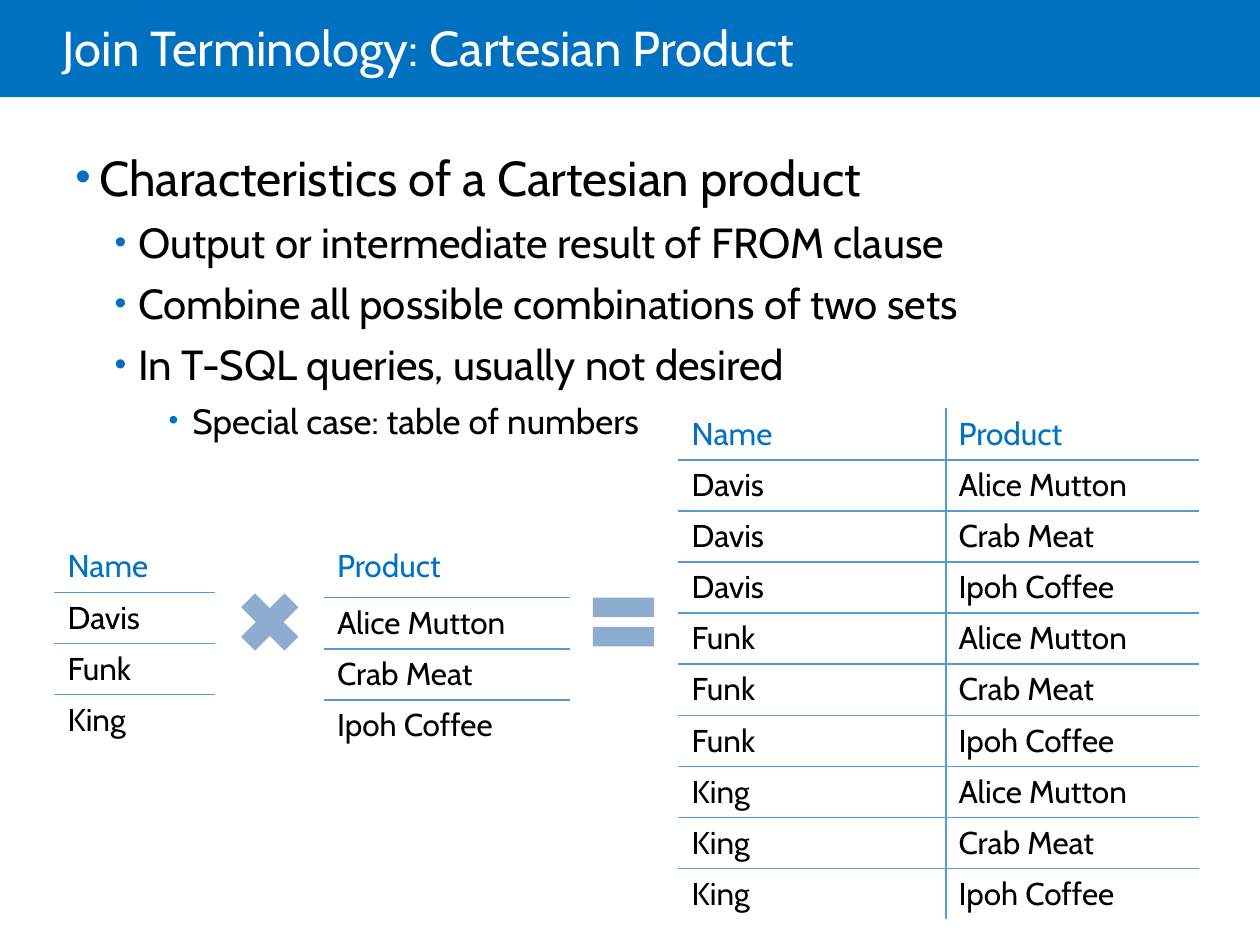
from dataclasses import dataclass
from itertools import product

from lxml.etree import SubElement
from pptx import Presentation
from pptx.dml.color import RGBColor
from pptx.enum.shapes import MSO_SHAPE as Preset
from pptx.enum.text import MSO_ANCHOR as Anchor
from pptx.oxml.ns import qn
from pptx.util import Cm, Length, Pt


@dataclass(frozen=True)
class Theme:
    font: str = "Cabin"
    bar: str = "0070C0"
    heading: str = "0072C6"
    rule: str = "569AD2"
    operator: str = "8DACD0"
    paper: str = "FFFFFF"
    ink: str = "000000"
    title_size: int = 28
    level_sizes: tuple[int, ...] = (28, 24, 20)
    table_size: int = 18


THEME = Theme()
ROW_HEIGHT = Cm(1.03)


@dataclass(frozen=True)
class Level:
    indent: Length
    bullet_percent: int


@dataclass(frozen=True)
class Bullet:
    text: str
    level: int


@dataclass(frozen=True)
class Relation:
    left: Length
    top: Length
    widths: tuple[Length, ...]
    rows: list[tuple[str, ...]]
    header_height: Length = ROW_HEIGHT


@dataclass(frozen=True)
class Operator:
    preset: Preset
    left: Length


LEVELS = (Level(Cm(0.48), 90), Level(Cm(1.27), 80), Level(Cm(2.36), 80))
HANGING = Cm(0.48)

BULLETS = (
    Bullet("Characteristics of a Cartesian product", 0),
    Bullet("Output or intermediate result of FROM clause", 1),
    Bullet("Combine all possible combinations of two sets", 1),
    Bullet("In T-SQL queries, usually not desired", 1),
    Bullet("Special case: table of numbers", 2),
)

NAMES = ("Davis", "Funk", "King")
PRODUCTS = ("Alice Mutton", "Crab Meat", "Ipoh Coffee")

RELATIONS = (
    Relation(Cm(6.54), Cm(10.9), (Cm(4.94),),
             [("Product",), *((item,) for item in PRODUCTS)], Cm(1.15)),
    Relation(Cm(13.69), Cm(8.24), (Cm(5.38), Cm(5.08)),
             [("Name", "Product"), *product(NAMES, PRODUCTS)]),
    Relation(Cm(1.11), Cm(10.91), (Cm(3.2),),
             [("Name",), *((name,) for name in NAMES)]),
)

OPERATORS = (
    Operator(Preset.MATH_MULTIPLY, Cm(4.6)),
    Operator(Preset.MATH_EQUAL, Cm(11.73)),
)
OPERATOR_TOP, OPERATOR_SIZE = Cm(11.7), Cm(1.68)


def format_runs(paragraph, size: int, color: str) -> None:
    for run in paragraph.runs:
        run.font.name = THEME.font
        run.font.size = Pt(size)
        run.font.color.rgb = RGBColor.from_string(color)


def add_filled_shape(slide, preset: Preset, left: Length, top: Length,
                     width: Length, height: Length, color: str) -> None:
    shape = slide.shapes.add_shape(preset, left, top, width, height)
    shape.shadow.inherit = False
    shape.fill.solid()
    shape.fill.fore_color.rgb = RGBColor.from_string(color)
    shape.line.fill.background()


def add_title(slide, text: str) -> None:
    box = slide.shapes.add_textbox(Cm(1.27), 0, Cm(21.59), Cm(2.06))
    text_frame = box.text_frame
    text_frame.word_wrap = True
    text_frame.vertical_anchor = Anchor.MIDDLE
    text_frame.margin_left = 0
    text_frame.text = text
    paragraph = text_frame.paragraphs[0]
    paragraph.line_spacing = 0.85
    format_runs(paragraph, THEME.title_size, THEME.paper)


def set_bullet(paragraph, level: Level) -> None:
    properties = paragraph._p.get_or_add_pPr()
    properties.set("marL", str(level.indent))
    properties.set("indent", str(-HANGING))
    color = SubElement(properties, qn("a:buClr"))
    SubElement(color, qn("a:srgbClr"), val=THEME.bar)
    SubElement(properties, qn("a:buSzPct"), val=str(level.bullet_percent * 1000))
    SubElement(properties, qn("a:buFont"), typeface="Arial")
    SubElement(properties, qn("a:buChar"), char="•")


def add_bullets(slide, bullets: tuple[Bullet, ...]) -> None:
    box = slide.shapes.add_textbox(Cm(1.27), Cm(2.84), Cm(22.56), Cm(14.3))
    text_frame = box.text_frame
    text_frame.word_wrap = True
    text_frame.text = "\n".join(bullet.text for bullet in bullets)
    for paragraph, bullet in zip(text_frame.paragraphs, bullets):
        paragraph.level = bullet.level
        paragraph.space_before = Pt(6)
        set_bullet(paragraph, LEVELS[bullet.level])
        format_runs(paragraph, THEME.level_sizes[bullet.level], THEME.ink)


def set_borders(cell, inner_sides: dict[str, bool]) -> None:
    """Rule the sides shared with another cell and blank out the outer ones."""
    properties = cell._tc.get_or_add_tcPr()
    for side, is_inner in inner_sides.items():
        line = SubElement(properties, qn(f"a:ln{side}"), w=str(Pt(1)))
        fill = SubElement(line, qn("a:solidFill"))
        SubElement(fill, qn("a:srgbClr"), val=THEME.rule if is_inner else THEME.paper)


def add_relation(slide, relation: Relation) -> None:
    row_count, column_count = len(relation.rows), len(relation.widths)
    height = relation.header_height + ROW_HEIGHT * (row_count - 1)
    table = slide.shapes.add_table(row_count, column_count, relation.left, relation.top,
                                   sum(relation.widths), height).table
    table.first_row = table.horz_banding = False
    for column, width in zip(table.columns, relation.widths):
        column.width = width
    for row_index, values in enumerate(relation.rows):
        is_header = row_index == 0
        table.rows[row_index].height = relation.header_height if is_header else ROW_HEIGHT
        for column_index, value in enumerate(values):
            cell = table.cell(row_index, column_index)
            cell.text_frame.text = value
            format_runs(cell.text_frame.paragraphs[0], THEME.table_size,
                        THEME.heading if is_header else THEME.ink)
            set_borders(cell, {"L": column_index > 0,
                               "R": column_index < column_count - 1,
                               "T": not is_header,
                               "B": row_index < row_count - 1})
            cell.fill.solid()
            cell.fill.fore_color.rgb = RGBColor.from_string(THEME.paper)


def main() -> None:
    presentation = Presentation()
    presentation.slide_width, presentation.slide_height = Cm(25.4), Cm(19.05)
    slide = presentation.slides.add_slide(presentation.slide_layouts[6])

    add_filled_shape(slide, Preset.RECTANGLE, 0, 0,
                     presentation.slide_width, Cm(1.96), THEME.bar)
    add_title(slide, "Join Terminology: Cartesian Product")
    add_bullets(slide, BULLETS)
    for relation in RELATIONS:
        add_relation(slide, relation)
    for operator in OPERATORS:
        add_filled_shape(slide, operator.preset, operator.left, OPERATOR_TOP,
                         OPERATOR_SIZE, OPERATOR_SIZE, THEME.operator)
    presentation.save("out.pptx")


if __name__ == "__main__":
    main()
